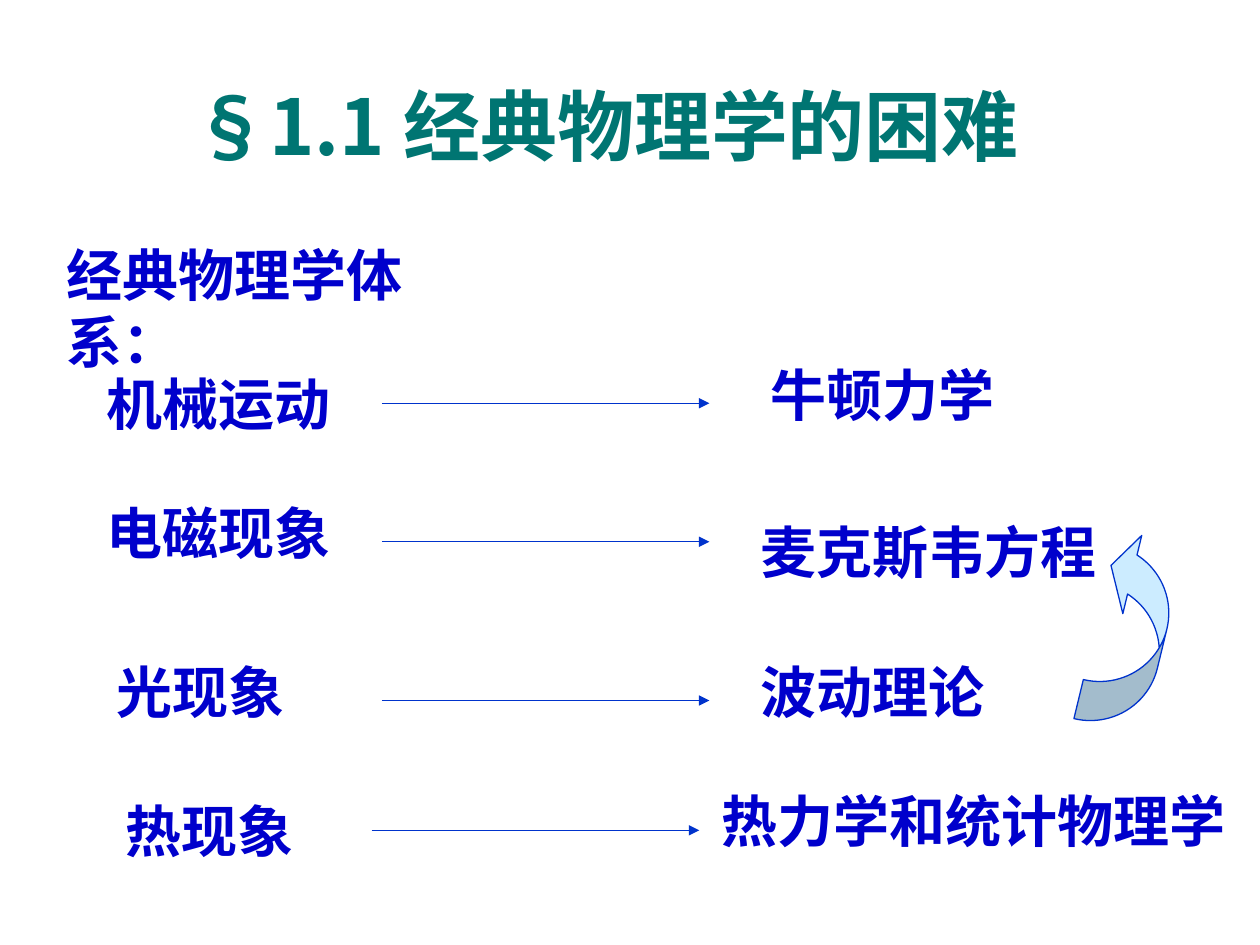
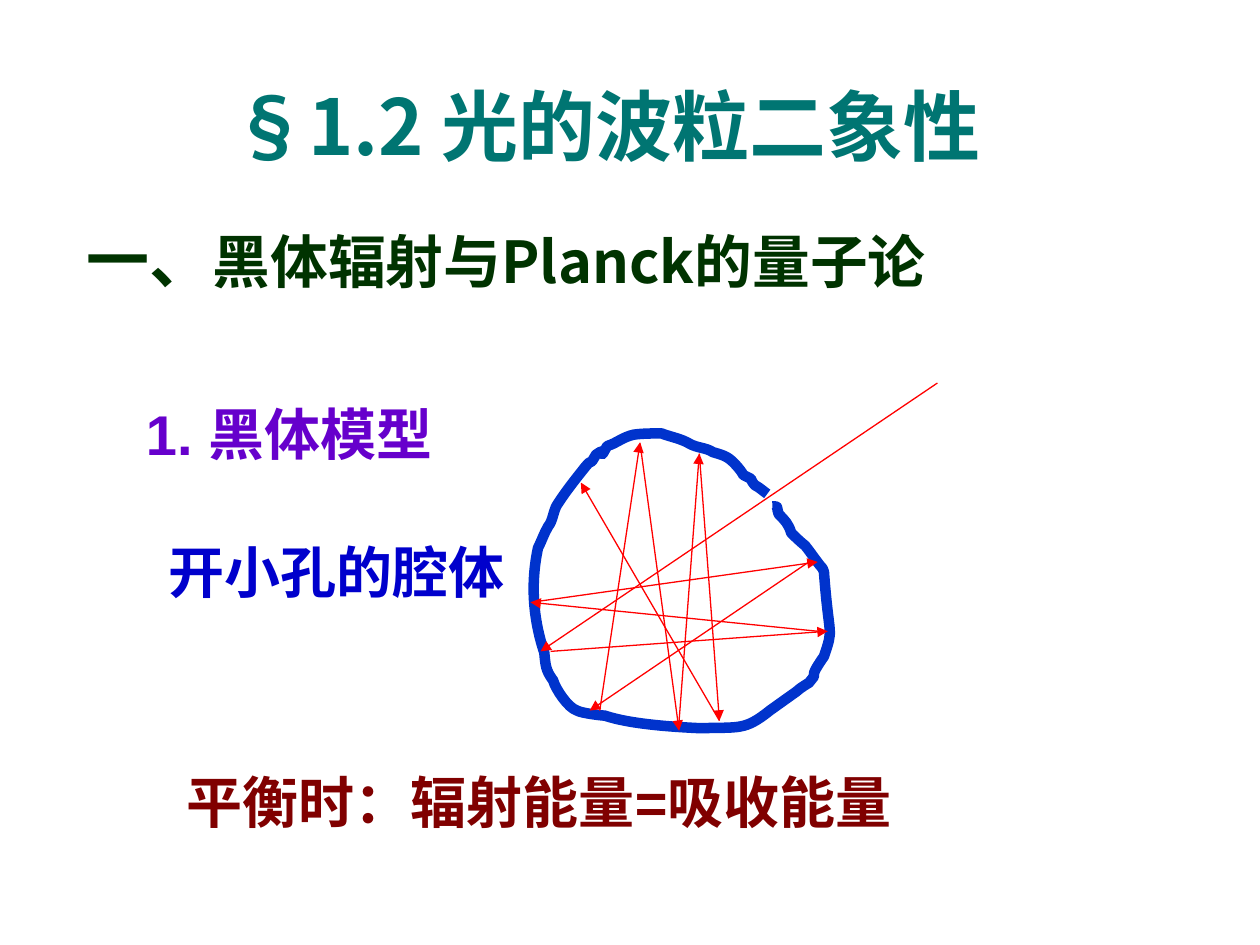
import pptx
import pptx.util
import pptx.dml.color
import pptx.enum.shapes
import pptx.enum.text
import pptx.oxml.ns
from lxml import etree

Inches = pptx.util.Inches
Pt = pptx.util.Pt
MSO_SHAPE = pptx.enum.shapes.MSO_SHAPE
ALIGN = pptx.enum.text.PP_ALIGN
ANCHOR = pptx.enum.text.MSO_ANCHOR
AUTO_SIZE = pptx.enum.text.MSO_AUTO_SIZE
qn = pptx.oxml.ns.qn

COLORS = {
    "title": "007572", "body": "0000CC", "heading": "003300",
    "subheading": "6600CC", "balance": "800000",
    "outline": "0033CC", "ray": "FF0000", "curve": "CCECFF",
}
CJK = "Noto Sans CJK SC"
TITLE_BOX = (0.98, 0.6, 7.66, 0.78)
LINE_HEIGHT = 0.64
ARROW_LENGTH = 2.6

CLASSICAL_TITLE = "§1.1 经典物理学的困难"
SYSTEM_LABEL = ("经典物理学体系：", (0.43, 1.86, 3.7))
PHENOMENA = [
    ("机械运动", (0.75, 2.88, 2.12), (3.03, 3.2), "牛顿力学", (6.02, 2.81, 2.36)),
    ("电磁现象", (0.75, 3.91, 2.52), (3.03, 4.3), "麦克斯韦方程", (5.94, 4.06, 3.62)),
    ("光现象", (0.83, 5.17, 2.13), (3.03, 5.56), "波动理论", (5.94, 5.17, 3.15)),
    ("热现象", (0.9, 6.27, 1.97), (2.95, 6.59), "热力学和统计物理学", (5.63, 6.19, 4.37)),
]
UNIFICATION = {"box": (8.19, 4.73, 1.57, 0.55), "rotation": 283.6,
               "adjustments": (0.58, 1.16, 0.33)}

DUALITY_TITLE = "§1.2 光的波粒二象性"
HEADING_BOX = (0.59, 1.7, 7.64, 0.87)
HEADING_RUNS = [("一、", "Arial", 36), ("黑体辐射与Planck的量子论", CJK, 33)]
BLACKBODY_LABELS = [
    ("1. 黑体模型", (1.06, 3.12, 3.07), "subheading", True),
    ("开小孔的腔体", (1.24, 4.22, 2.97), "body", False),
    ("平衡时：辐射能量=吸收能量", (1.38, 6.04, 6.38), "balance", True),
]
RAYS = [
    ((7.44, 3.04), (4.29, 5.17)), ((4.37, 5.17), (6.57, 5.01)),
    ((6.49, 5.01), (4.21, 4.78)), ((4.29, 4.77), (6.49, 4.46)),
    ((6.42, 4.46), (4.68, 5.64)), ((4.76, 5.64), (5.08, 3.51)),
    ((5.08, 3.52), (5.39, 5.8)), ((5.39, 5.72), (5.55, 3.6)),
    ((5.55, 3.6), (5.71, 5.72)), ((5.71, 5.72), (4.61, 3.83)),
]
CAVITY_START = (6.09, 3.92)
CAVITY_CURVES = [
    ((6.06, 3.9), (6.03, 3.87), (5.99, 3.85)),
    ((5.97, 3.84), (5.97, 3.81), (5.96, 3.8)),
    ((5.94, 3.79), (5.92, 3.78), (5.9, 3.77)),
    ((5.88, 3.73), (5.81, 3.65), (5.77, 3.63)),
    ((5.74, 3.61), (5.66, 3.59), (5.66, 3.59)),
    ((5.6, 3.55), (5.54, 3.56), (5.47, 3.52)),
    ((5.4, 3.48), (5.33, 3.47), (5.25, 3.44)),
    ((5.18, 3.44), (5.1, 3.44), (5.03, 3.45)),
    ((4.94, 3.47), (4.89, 3.52), (4.82, 3.54)),
    ((4.73, 3.69), (4.85, 3.52), (4.73, 3.61)),
    ((4.72, 3.62), (4.71, 3.65), (4.7, 3.66)),
    ((4.68, 3.67), (4.66, 3.68), (4.65, 3.7)),
    ((4.57, 3.8), (4.49, 3.9), (4.42, 4.01)),
    ((4.39, 4.06), (4.39, 4.13), (4.35, 4.18)),
    ((4.32, 4.23), (4.3, 4.29), (4.27, 4.35)),
    ((4.21, 4.63), (4.23, 4.91), (4.32, 5.18)),
    ((4.33, 5.28), (4.33, 5.32), (4.39, 5.4)),
    ((4.41, 5.47), (4.51, 5.62), (4.58, 5.64)),
    ((4.61, 5.66), (4.78, 5.68), (4.8, 5.68)),
    ((5.01, 5.75), (5.35, 5.77), (5.56, 5.78)),
    ((5.87, 5.77), (5.91, 5.8), (6.11, 5.64)),
    ((6.18, 5.59), (6.25, 5.54), (6.32, 5.49)),
    ((6.35, 5.46), (6.42, 5.42), (6.42, 5.42)),
    ((6.43, 5.4), (6.45, 5.39), (6.46, 5.37)),
    ((6.46, 5.35), (6.46, 5.33), (6.47, 5.32)),
    ((6.49, 5.28), (6.54, 5.21), (6.54, 5.21)),
    ((6.62, 4.97), (6.58, 5.09), (6.54, 4.54)),
    ((6.54, 4.52), (6.52, 4.5), (6.51, 4.49)),
    ((6.47, 4.44), (6.43, 4.38), (6.39, 4.33)),
    ((6.35, 4.3), (6.28, 4.23), (6.28, 4.23)),
    ((6.26, 4.16), (6.23, 4.13), (6.18, 4.08)),
    ((6.16, 4.01), (6.18, 4.02), (6.13, 4.02)),
]


def rgb(role):
    return pptx.dml.color.RGBColor.from_string(COLORS[role])


def apply(target, values):
    for name, value in values.items():
        setattr(target, name, value)


def add_run(paragraph, text, role, face="Arial", size=32):
    run = paragraph.add_run()
    run.text = text
    apply(run.font, {"name": face, "size": Pt(size), "bold": True})
    run.font.color.rgb = rgb(role)
    etree.SubElement(run.font._element, qn("a:ea"), typeface=CJK)


def add_label(slide, text, place, role="body", wrap=True):
    frame = slide.shapes.add_textbox(*map(Inches, (*place, LINE_HEIGHT))).text_frame
    apply(frame, {"word_wrap": wrap, "auto_size": AUTO_SIZE.SHAPE_TO_FIT_TEXT})
    paragraph = frame.paragraphs[0]
    paragraph._p.get_or_add_pPr().set("hangingPunct", "0")
    add_run(paragraph, text, role)


def add_titled_slide(deck, text):
    slide = deck.slides.add_slide(deck.slide_layouts[5])
    title = slide.shapes.title
    apply(title, dict(zip(("left", "top", "width", "height"), map(Inches, TITLE_BOX))))
    apply(title.text_frame, {"word_wrap": True, "auto_size": AUTO_SIZE.NONE,
                             "vertical_anchor": ANCHOR.MIDDLE})
    paragraph = title.text_frame.paragraphs[0]
    paragraph.alignment = ALIGN.CENTER
    add_run(paragraph, text, "title", CJK, 44)
    return slide


def set_line(shape, role, width):
    shape.line.color.rgb = rgb(role)
    shape.line.width = Pt(width)


def add_arrow(slide, start, end, role):
    arrow = slide.shapes.add_connector(
        pptx.enum.shapes.MSO_CONNECTOR.STRAIGHT, *map(Inches, (*start, *end)))
    set_line(arrow, role, 0.75)
    etree.SubElement(arrow.line._get_or_add_ln(), qn("a:tailEnd"), type="triangle")
    etree.SubElement(arrow._element.spPr, qn("a:effectLst"))


def add_cavity(slide):
    builder = slide.shapes.build_freeform(*map(Inches, CAVITY_START))
    builder.add_line_segments([tuple(map(Inches, point))
                               for curve in CAVITY_CURVES for point in curve], close=False)
    cavity = builder.convert_to_shape()
    outline = next(cavity._element.iter(qn("a:path")))
    segments = outline.findall(qn("a:lnTo"))
    for first in range(0, len(segments), 3):
        bezier = etree.SubElement(outline, qn("a:cubicBezTo"))
        for segment in segments[first:first + 3]:
            bezier.append(segment[0])
            outline.remove(segment)
    cavity.shadow.inherit = False
    cavity.fill.background()
    set_line(cavity, "outline", 6)


def build_classical(deck):
    slide = add_titled_slide(deck, CLASSICAL_TITLE)
    add_label(slide, *SYSTEM_LABEL)
    for phenomenon, place, start, theory, theory_place in PHENOMENA:
        add_label(slide, phenomenon, place)
        add_arrow(slide, start, (start[0] + ARROW_LENGTH, start[1]), "outline")
        add_label(slide, theory, theory_place)
    curve = slide.shapes.add_shape(MSO_SHAPE.CURVED_UP_ARROW,
                                   *map(Inches, UNIFICATION["box"]))
    curve.rotation = UNIFICATION["rotation"]
    for index, value in enumerate(UNIFICATION["adjustments"]):
        curve.adjustments[index] = value
    curve.shadow.inherit = False
    curve.fill.solid()
    curve.fill.fore_color.rgb = rgb("curve")
    set_line(curve, "outline", 0.75)


def build_duality(deck):
    slide = add_titled_slide(deck, DUALITY_TITLE)
    heading = slide.shapes.add_textbox(*map(Inches, HEADING_BOX)).text_frame
    heading.word_wrap = True
    for text, face, size in HEADING_RUNS:
        add_run(heading.paragraphs[0], text, "heading", face, size)
    add_cavity(slide)
    for start, end in RAYS:
        add_arrow(slide, start, end, "ray")
    for label in BLACKBODY_LABELS:
        add_label(slide, *label)


def main():
    deck = pptx.Presentation()
    apply(deck, {"slide_width": Inches(10), "slide_height": Inches(7.5)})
    build_classical(deck)
    build_duality(deck)
    deck.save("out.pptx")


if __name__ == "__main__":
    main()
